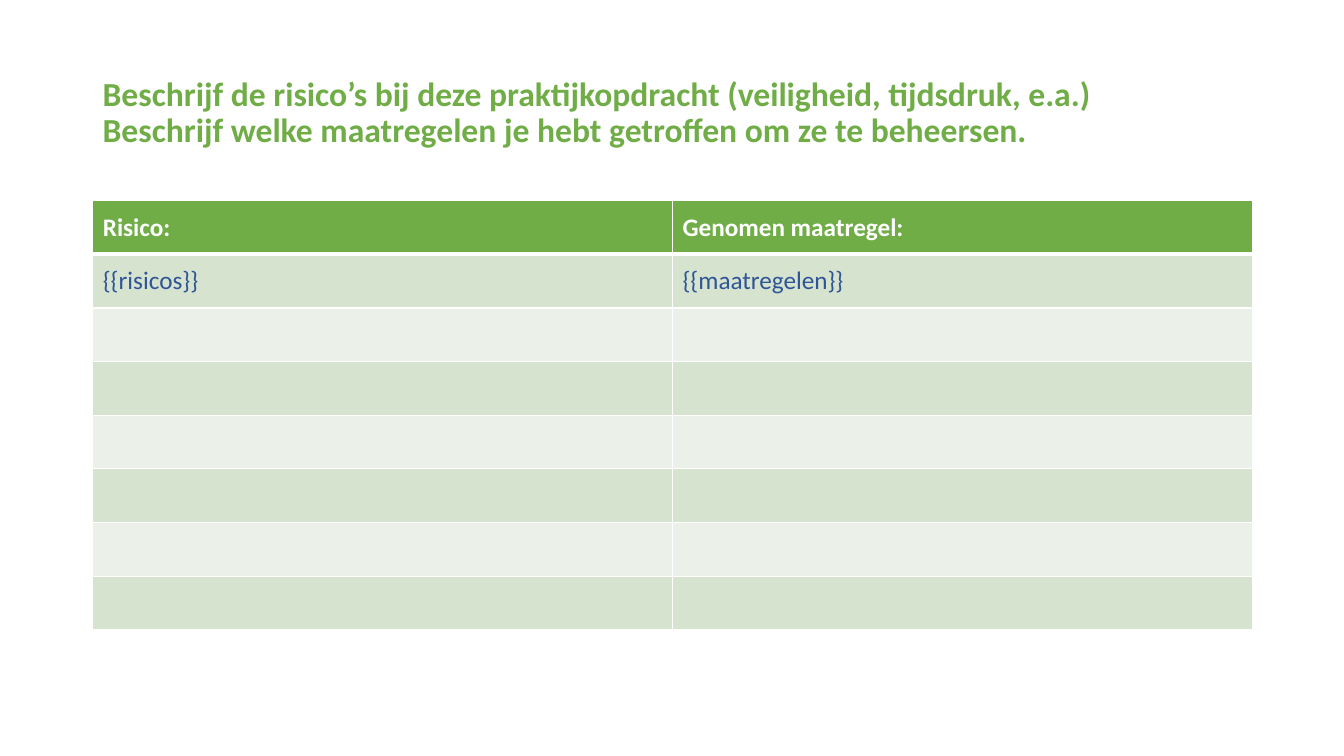
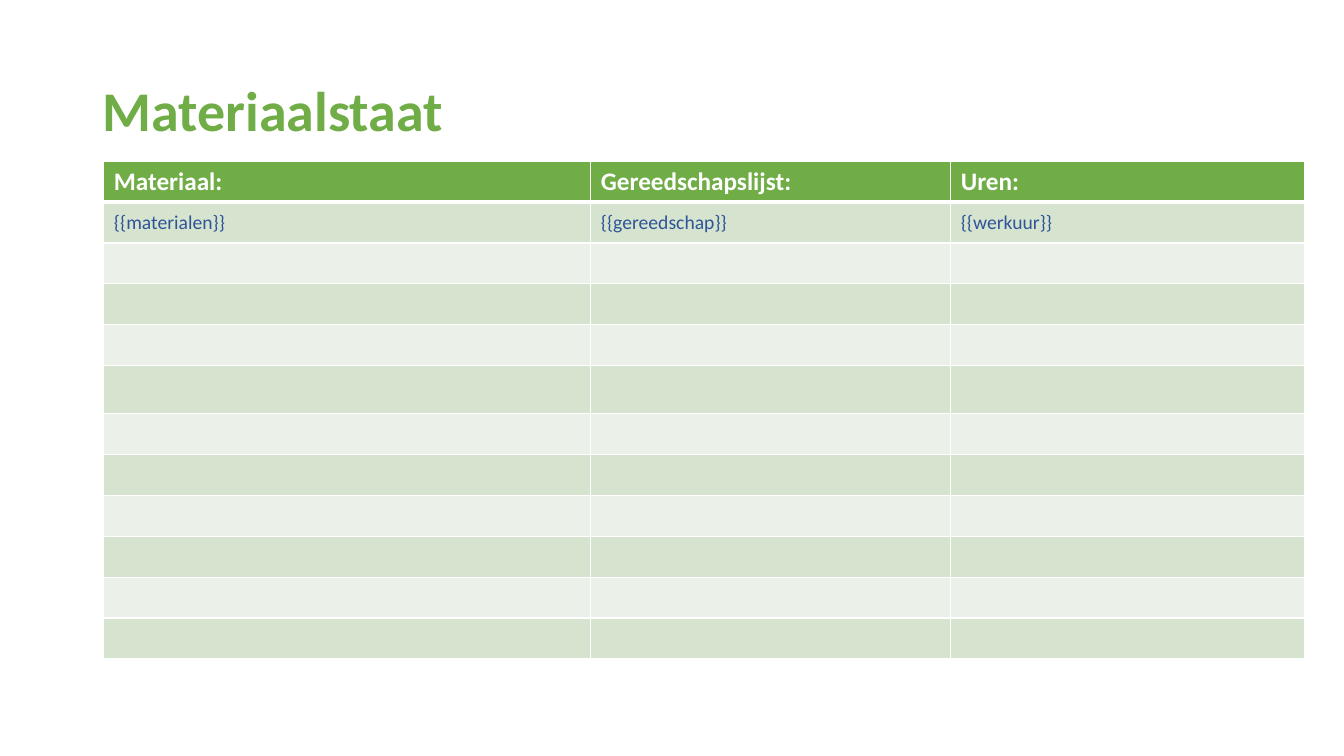
import dataclasses

import pptx
import pptx.chart
import pptx.dml.color
import pptx.enum.text
import pptx.oxml
import pptx.oxml.ns
import pptx.util

Inches = pptx.util.Inches
Pt = pptx.util.Pt


@dataclasses.dataclass(frozen=True)
class Theme:
    font: str = "Calibri"
    green: str = "70AD47"
    blue: str = "2F5597"
    white: str = "FFFFFF"
    bands: tuple = ("EBF1E9", "D5E3CF")
    head: int = 18
    thin: int = 1
    thick: int = 3


THEME = Theme()


def color(code):
    return pptx.dml.color.RGBColor.from_string(code)


def add_run(para, text, size, code, bold=False):
    run = para.add_run()
    run.text = text
    font = run.font
    font.name = THEME.font
    font.size = Pt(size)
    font.bold = bold
    font.color.rgb = color(code)


def add_title(slide, lines, size):
    box = slide.shapes.add_textbox(
        Inches(0.92), Inches(0.4), Inches(11.5), Inches(1.45))
    frame = box.text_frame
    frame.word_wrap = True
    frame.vertical_anchor = pptx.enum.text.MSO_ANCHOR.MIDDLE
    para = frame.paragraphs[0]
    para.line_spacing = 0.9
    for index, line in enumerate(lines):
        if index:
            para.add_line_break()
        add_run(para, line, size, THEME.green, True)


def add_edge(cell, side, width, place):
    space = pptx.oxml.ns.nsdecls("a")
    edge = pptx.oxml.parse_xml(
        f'<a:ln{side} {space} w="{Pt(width)}"><a:solidFill>'
        f'<a:srgbClr val="{THEME.white}"/></a:solidFill></a:ln{side}>')
    cell._tc.get_or_add_tcPr().insert(place, edge)


def style_cell(cell, row):
    cell.vertical_anchor = pptx.enum.text.MSO_ANCHOR.MIDDLE
    cell.fill.solid()
    fill = THEME.bands[row % 2] if row else THEME.green
    cell.fill.fore_color.rgb = color(fill)
    widths = {
        "L": THEME.thin,
        "R": THEME.thin,
        "T": THEME.thick if row == 1 else THEME.thin,
        "B": THEME.thick if row == 0 else THEME.thin,
    }
    for place, (side, width) in enumerate(widths.items()):
        add_edge(cell, side, width, place)


def add_table(slide, left, top, widths, heights, heads, fields, size):
    table = slide.shapes.add_table(
        len(heights), len(widths), Inches(left), Inches(top),
        Inches(sum(widths)), Inches(sum(heights))).table
    for column, width in zip(table.columns, widths):
        column.width = Inches(width)
    for index, (row, height) in enumerate(zip(table.rows, heights)):
        row.height = Inches(height)
        for cell in row.cells:
            style_cell(cell, index)
    for index, (head, field) in enumerate(zip(heads, fields)):
        para = table.cell(0, index).text_frame.paragraphs[0]
        add_run(para, head, THEME.head, THEME.white, True)
        para = table.cell(1, index).text_frame.paragraphs[0]
        add_run(para, field, size, THEME.blue)


def add_slide(deck):
    return deck.slides.add_slide(deck.slide_layouts[6])


def add_risks(deck):
    slide = add_slide(deck)
    add_title(slide, [
        "Beschrijf de risico’s bij deze praktijkopdracht "
        "(veiligheid, tijdsdruk, e.a.)",
        "Beschrijf welke maatregelen je hebt getroffen om ze te beheersen.",
    ], 24)
    add_table(slide, 0.92, 1.99, [5.75] * 2, [4.26 / 8] * 8,
              ["Risico:", "Genomen maatregel:"],
              ["{{risicos}}", "{{maatregelen}}"], 18)


def add_stock(deck):
    slide = add_slide(deck)
    add_title(slide, ["Materiaalstaat"], 40)
    tall = 0.48
    row = (4.94 - tall) / 11
    add_table(slide, 1.03, 1.6, [4.83, 3.57, 3.51],
              [row] * 5 + [tall] + [row] * 6,
              ["Materiaal:", "Gereedschapslijst:", "Uren:"],
              ["{{materialen}}", "{{gereedschap}}", "{{werkuur}}"], 14)


def main():
    deck = pptx.Presentation()
    deck.slide_width = Inches(13.33)
    deck.slide_height = Inches(7.5)
    add_risks(deck)
    add_stock(deck)
    deck.save("out.pptx")


if __name__ == "__main__":
    main()
